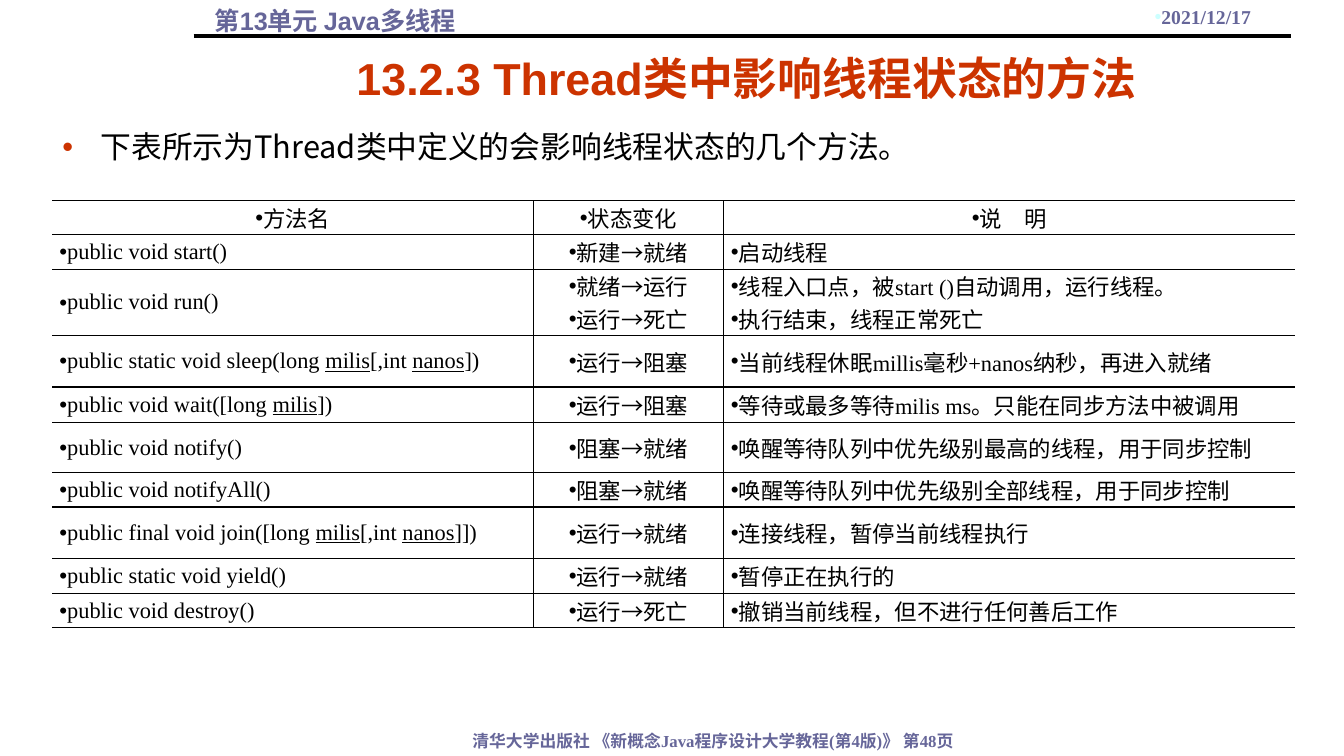
from dataclasses import dataclass

from pptx import Presentation
from pptx.dml.color import RGBColor
from pptx.enum.shapes import MSO_CONNECTOR
from pptx.enum.text import MSO_ANCHOR, PP_ALIGN
from pptx.oxml.ns import qn
from pptx.util import Emu, Inches, Pt
from lxml import etree

LEFT, CENTER, JUSTIFY = PP_ALIGN.LEFT, PP_ALIGN.CENTER, PP_ALIGN.JUSTIFY
TOP, MIDDLE, BOTTOM = MSO_ANCHOR.TOP, MSO_ANCHOR.MIDDLE, MSO_ANCHOR.BOTTOM
STRAIGHT = MSO_CONNECTOR.STRAIGHT

SLIDE_WIDTH, SLIDE_HEIGHT = Inches(13.33), Inches(7.5)
GRID_ROWS = 90
UNIT = SLIDE_HEIGHT / GRID_ROWS  # square grid: 160 columns by 90 rows

BLACK, SLATE, RUST, PALE = "000000", "666699", "CC3300", "CCFFFF"
SERIF, SANS, CJK = "Times New Roman", "Arial", "Noto Sans CJK SC"
BORDER_WIDTH = Pt(1)


@dataclass(frozen=True)
class Style:
    font: str
    size: float
    color: str
    bold: bool = False
    align: int = LEFT
    bullet_color: str | None = None
    hanging: float = 0


@dataclass(frozen=True)
class Caption:
    text: str
    left: float
    top: float
    width: float
    height: float
    style: Style
    anchor: int = TOP


@dataclass(frozen=True)
class Method:
    signature: str  # underscores enclose underlined words
    changes: tuple[str, ...]
    notes: tuple[str, ...]
    height: float


CAPTIONS = (
    Caption("清华大学出版社 《新概念Java程序设计大学教程(第4版)》 第48页", 50.3, 86.4, 69.1, 3.6,
            Style(SERIF, 12, SLATE, True, CENTER)),
    Caption("第13单元 Java多线程", 24.36, 0, 56.76, 4.8, Style(SANS, 18, SLATE, True)),
    Caption("13.2.3 Thread类中影响线程状态的方法", 21.84, 5.04, 134.04, 8.04,
            Style(SANS, 32, RUST, True, CENTER), BOTTOM),
    Caption("下表所示为Thread类中定义的会影响线程状态的几个方法。", 6.24, 14.64, 149.16, 63.96,
            Style(CJK, 22, BLACK, bullet_color=RUST, hanging=4.56)),
    Caption("2021/12/17", 126.36, 0, 33.6, 3.72,
            Style(SERIF, 14, SLATE, True, CENTER, PALE)),
)

HEADINGS = ("方法名", "状态变化", "说　明")
HEADING_HEIGHT = 4.08
METHODS = (
    Method("public void start()", ("新建→就绪",), ("启动线程",), 4.08),
    Method("public void run()", ("就绪→运行", "运行→死亡"),
           ("线程入口点，被start ()自动调用，运行线程。", "执行结束，线程正常死亡"), 7.92),
    Method("public static void sleep(long _milis_[,int _nanos_])", ("运行→阻塞",),
           ("当前线程休眠millis毫秒+nanos纳秒，再进入就绪",), 6.12),
    Method("public void wait([long _milis_])", ("运行→阻塞",),
           ("等待或最多等待milis ms。只能在同步方法中被调用",), 4.2),
    Method("public void notify()", ("阻塞→就绪",),
           ("唤醒等待队列中优先级别最高的线程，用于同步控制",), 6),
    Method("public void notifyAll()", ("阻塞→就绪",),
           ("唤醒等待队列中优先级别全部线程，用于同步控制",), 4.08),
    Method("public final void join([long _milis_[,int _nanos_]])", ("运行→就绪",),
           ("连接线程，暂停当前线程执行",), 6.12),
    Method("public static void yield()", ("运行→就绪",), ("暂停正在执行的",), 4.2),
    Method("public void destroy()", ("运行→死亡",), ("撤销当前线程，但不进行任何善后工作",), 4.08),
)
TABLE_LEFT, TABLE_TOP = 6.24, 23.88
COLUMN_WIDTHS = (57.24, 22.68, 67.92)
CELL_CENTERED = Style(SERIF, 16, BLACK, align=CENTER, bullet_color=BLACK)
CELL_JUSTIFIED = Style(SERIF, 16, BLACK, align=JUSTIFY, bullet_color=BLACK)


def grid(units: float) -> Emu:
    return Emu(round(units * UNIT))


def rgb(color: str) -> RGBColor:
    return RGBColor.from_string(color)


def set_all(target, values: dict) -> None:
    for name, value in values.items():
        setattr(target, name, value)


def add_child(parent, tag: str, **attributes: str):
    return etree.SubElement(parent, qn(tag), attributes)


def add_bullet(paragraph, color: str, hanging: float) -> None:
    properties = paragraph._p.get_or_add_pPr()
    properties.set("marL", str(grid(hanging)))
    properties.set("indent", str(-grid(hanging)))
    add_child(add_child(properties, "a:buClr"), "a:srgbClr", val=color)
    add_child(properties, "a:buFont", typeface=SANS)
    add_child(properties, "a:buChar", char="•")


def write(paragraph, text: str, style: Style) -> None:
    """Fill a paragraph; every second part between underscores is underlined."""
    if style.bullet_color:
        add_bullet(paragraph, style.bullet_color, style.hanging)
    paragraph.alignment = style.align
    for index, part in enumerate(text.split("_")):
        run = paragraph.add_run()
        run.text = part
        set_all(run.font, {"name": style.font, "size": Pt(style.size),
                           "bold": style.bold, "underline": index % 2 == 1})
        run.font.color.rgb = rgb(style.color)
        add_child(run._r.get_or_add_rPr(), "a:ea", typeface=CJK)


def add_caption(slide, caption: Caption) -> None:
    box = slide.shapes.add_textbox(grid(caption.left), grid(caption.top),
                                   grid(caption.width), grid(caption.height))
    set_all(box.text_frame, {"word_wrap": True, "vertical_anchor": caption.anchor})
    write(box.text_frame.paragraphs[0], caption.text, caption.style)


def add_header_rule(slide) -> None:
    rule = slide.shapes.add_connector(STRAIGHT, grid(23.04), grid(4.32), grid(153.6), grid(4.32))
    rule.line.color.rgb = rgb(BLACK)
    rule.line.width = Pt(3)
    add_child(rule._element.spPr, "a:effectLst")


def set_borders(cell, column: int) -> None:
    """Draw every side except the table's outer left and right."""
    visible = {"a:lnL": column > 0, "a:lnR": column < len(COLUMN_WIDTHS) - 1,
               "a:lnT": True, "a:lnB": True}
    properties = cell._tc.get_or_add_tcPr()
    for tag, shown in visible.items():
        border = add_child(properties, tag, w=str(BORDER_WIDTH))
        if shown:
            add_child(add_child(border, "a:solidFill"), "a:srgbClr", val=BLACK)
        else:
            add_child(border, "a:noFill")


def fill_cell(cell, column: int, lines: tuple[str, ...], style: Style) -> None:
    set_all(cell, {"vertical_anchor": MIDDLE, "margin_left": grid(0.84),
                   "margin_right": grid(0.84), "margin_top": 0, "margin_bottom": 0})
    set_borders(cell, column)
    cell.fill.background()
    frame = cell.text_frame
    for index, line in enumerate(lines):
        write(frame.add_paragraph() if index else frame.paragraphs[0], line, style)


def add_method_table(slide) -> None:
    heights = [HEADING_HEIGHT, *(method.height for method in METHODS)]
    table = slide.shapes.add_table(len(heights), len(COLUMN_WIDTHS), grid(TABLE_LEFT),
                                   grid(TABLE_TOP), grid(sum(COLUMN_WIDTHS)),
                                   grid(sum(heights))).table
    set_all(table, {"first_row": False, "horz_banding": False})
    for column, width in zip(table.columns, COLUMN_WIDTHS):
        column.width = grid(width)
    for row, height in zip(table.rows, heights):
        row.height = grid(height)
    for column, heading in enumerate(HEADINGS):
        fill_cell(table.cell(0, column), column, (heading,), CELL_CENTERED)
    for row, method in enumerate(METHODS, start=1):
        for column, lines in enumerate(((method.signature,), method.changes, method.notes)):
            style = CELL_CENTERED if column == 1 else CELL_JUSTIFIED
            fill_cell(table.cell(row, column), column, lines, style)


def main() -> None:
    presentation = Presentation()
    set_all(presentation, {"slide_width": SLIDE_WIDTH, "slide_height": SLIDE_HEIGHT})
    slide = presentation.slides.add_slide(presentation.slide_layouts[6])
    add_header_rule(slide)
    for caption in CAPTIONS:
        add_caption(slide, caption)
    add_method_table(slide)
    presentation.save("out.pptx")


if __name__ == "__main__":
    main()
